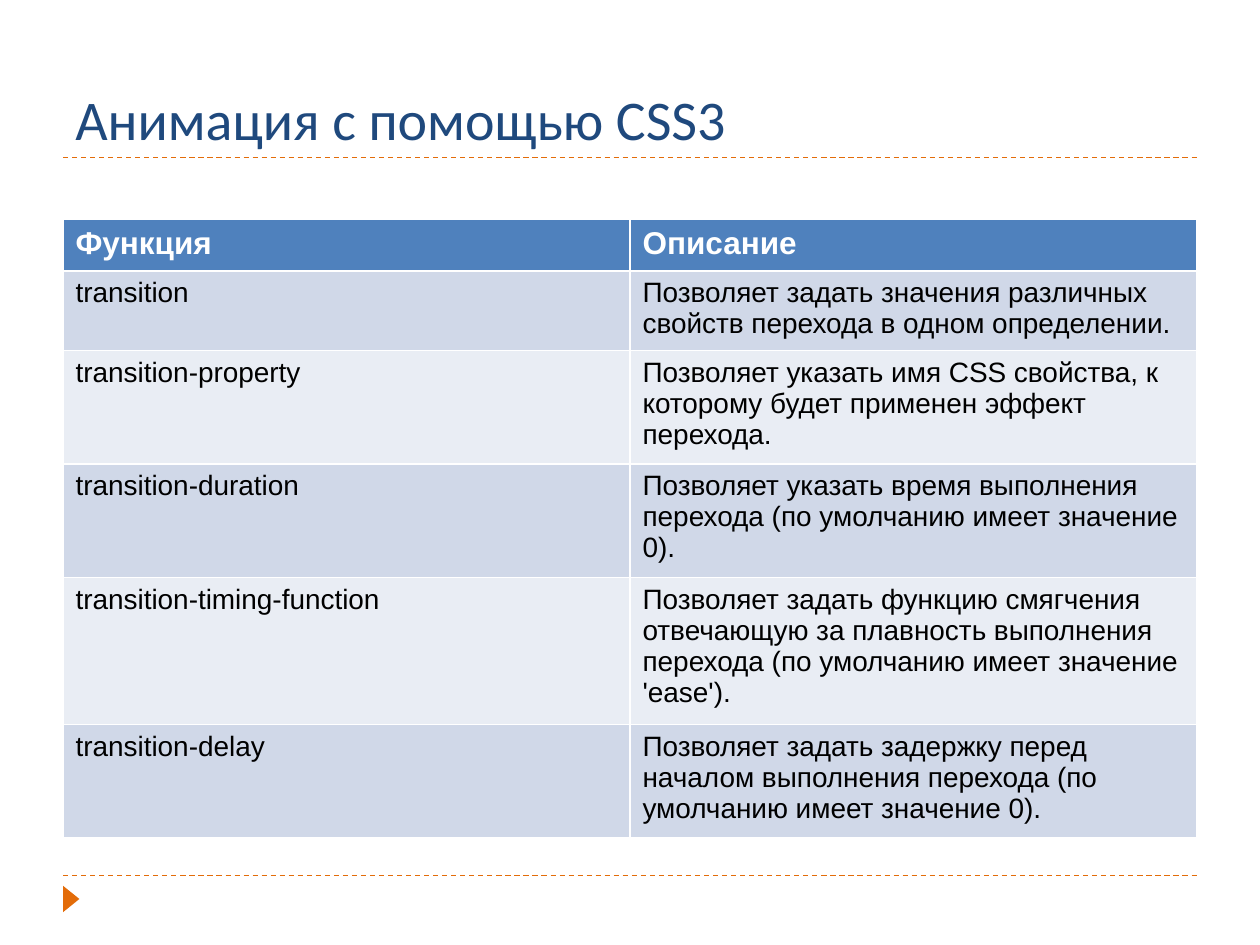
from lxml import etree
from pptx import Presentation
from pptx.dml.color import RGBColor
from pptx.enum.dml import MSO_LINE
from pptx.enum.shapes import MSO_CONNECTOR, MSO_SHAPE
from pptx.enum.text import MSO_ANCHOR
from pptx.oxml.ns import qn
from pptx.util import Inches, Pt

DASH = MSO_LINE.DASH
STRAIGHT = MSO_CONNECTOR.STRAIGHT
TRIANGLE = MSO_SHAPE.ISOSCELES_TRIANGLE
BOTTOM = MSO_ANCHOR.BOTTOM

TITLE = "Анимация с помощью CSS3"
ROWS = [
    ("Функция", "Описание"),
    ("transition", "Позволяет задать значения различных свойств перехода в одном определении."),
    ("transition-property", "Позволяет указать имя CSS свойства, к которому будет применен эффект перехода."),
    ("transition-duration", "Позволяет указать время выполнения перехода (по умолчанию имеет значение 0)."),
    ("transition-timing-function", "Позволяет задать функцию смягчения отвечающую за плавность выполнения "
                                   "перехода (по умолчанию имеет значение 'ease')."),
    ("transition-delay", "Позволяет задать задержку перед началом выполнения перехода "
                         "(по умолчанию имеет значение 0)."),
]
ORANGE = "E36C09"
HEADER_FILL = "4F81BD"
BAND_FILLS = ("E9EDF4", "D0D8E8")
LEFT, WIDTH = 0.5, 9
RULE_TOPS = (6.95, 1.25)
ROW_HEIGHT = 0.41


def color(value):
    return RGBColor.from_string(value)


def set_text(frame, text, font, size, text_color, bold=False):
    frame.text = text
    span = frame.paragraphs[0].runs[0]
    span.font.name = font
    span.font.size = Pt(size)
    span.font.bold = bold
    span.font.color.rgb = color(text_color)


def add_rule(page, top):
    rule = page.shapes.add_connector(
        STRAIGHT, Inches(LEFT), Inches(top), Inches(LEFT + WIDTH), Inches(top))
    rule.line.color.rgb = color(ORANGE)
    rule.line.width = Pt(0.75)
    rule.line.dash_style = DASH
    etree.SubElement(rule._element.spPr, qn("a:effectLst"))


def add_marker(page):
    marker = page.shapes.add_shape(
        TRIANGLE, Inches(0.46), Inches(7.07), Inches(0.21), Inches(0.13))
    marker.rotation = 90
    marker.shadow.inherit = False
    marker.fill.solid()
    marker.fill.fore_color.rgb = color(ORANGE)
    marker.line.fill.background()


def add_title(page):
    box = page.shapes.add_textbox(Inches(LEFT), Inches(0.17), Inches(WIDTH), Inches(1.08))
    box.text_frame.word_wrap = True
    box.text_frame.vertical_anchor = BOTTOM
    set_text(box.text_frame, TITLE, "Calibri", 32, "1F497D")


def add_function_table(page):
    table = page.shapes.add_table(
        len(ROWS), len(ROWS[0]), Inches(LEFT), Inches(1.74),
        Inches(WIDTH), Inches(ROW_HEIGHT * len(ROWS))).table
    for row_index, row in enumerate(ROWS):
        header = row_index == 0
        fill = HEADER_FILL if header else BAND_FILLS[row_index % 2]
        size, text_color = (18, "FFFFFF") if header else (16, "000000")
        for column_index, text in enumerate(row):
            cell = table.cell(row_index, column_index)
            cell.fill.solid()
            cell.fill.fore_color.rgb = color(fill)
            set_text(cell.text_frame, text, "Arial", size, text_color, header)


def main():
    deck = Presentation()
    deck.slide_width, deck.slide_height = Inches(10), Inches(7.5)
    page = deck.slides.add_slide(deck.slide_layouts[6])
    for top in RULE_TOPS:
        add_rule(page, top)
    add_marker(page)
    add_title(page)
    add_function_table(page)
    deck.save("out.pptx")


if __name__ == "__main__":
    main()
